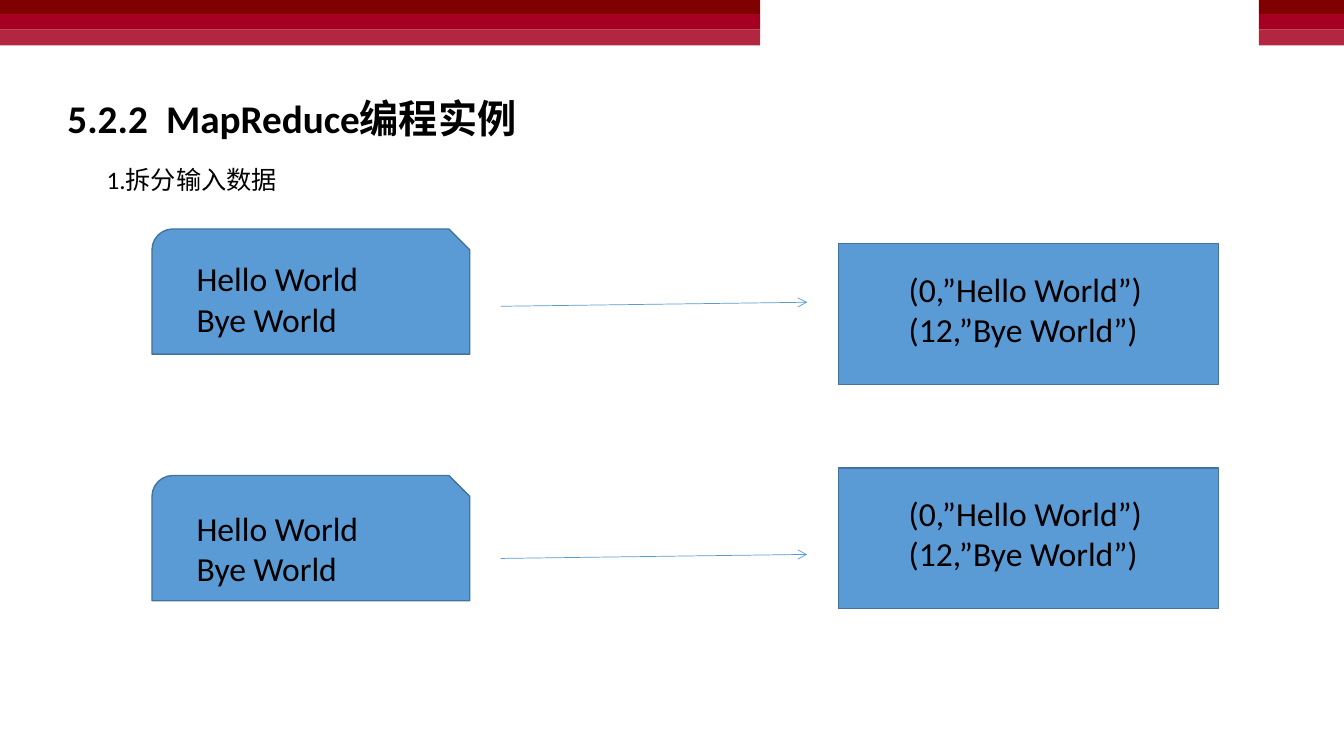
from lxml.etree import SubElement
from pptx import Presentation
from pptx.dml.color import RGBColor
from pptx.enum.shapes import MSO_CONNECTOR, MSO_SHAPE
from pptx.enum.text import MSO_ANCHOR, PP_ALIGN
from pptx.oxml.ns import qn
from pptx.util import Pt

SLIDE_WIDTH, SLIDE_HEIGHT = 960, 540
MAROON = RGBColor(0x80, 0x00, 0x00)
CRIMSON = RGBColor(0xA5, 0x00, 0x21)
ROSE = RGBColor(0xB2, 0x26, 0x42)
BLUE = RGBColor(0x5B, 0x9B, 0xD5)
DARK_BLUE = RGBColor(0x43, 0x73, 0x9E)
BLACK = RGBColor(0x00, 0x00, 0x00)

INPUT_LINES = "Hello World\nBye World"
PAIR_LINES = "(0,”Hello World”)\n(12,”Bye World”)"


def write_text(frame, text, size=24, bold=False, tab=None):
    """Fill a text frame with one left-aligned paragraph per line."""
    frame.word_wrap = True
    frame.vertical_anchor = MSO_ANCHOR.TOP
    frame.text = text
    for paragraph in frame.paragraphs:
        paragraph.alignment = PP_ALIGN.LEFT
        if tab:
            stops = SubElement(paragraph._p.get_or_add_pPr(), qn("a:tabLst"))
            SubElement(stops, qn("a:tab"), pos=str(Pt(tab)), algn="l")
        for run in paragraph.runs:
            run.font.name = "Calibri"
            run.font.size = Pt(size)
            run.font.bold = bold
            run.font.color.rgb = BLACK


def add_label(slide, text, left, top, width, height, **text_format):
    """Place a free text label."""
    label = slide.shapes.add_textbox(Pt(left), Pt(top), Pt(width), Pt(height))
    write_text(label.text_frame, text, **text_format)


def add_block(slide, outline, left, top, width, height, fill, border=None):
    """Place a filled shape, with a border if a colour is given."""
    block = slide.shapes.add_shape(outline, Pt(left), Pt(top), Pt(width), Pt(height))
    block.shadow.inherit = False
    block.fill.solid()
    block.fill.fore_color.rgb = fill
    if border:
        block.line.color.rgb = border
        block.line.width = Pt(1)
    else:
        block.line.fill.background()


def add_arrow(slide, left, top, right, bottom):
    """Draw a thin arrow from the first point to the second."""
    arrow = slide.shapes.add_connector(
        MSO_CONNECTOR.STRAIGHT, Pt(left), Pt(top), Pt(right), Pt(bottom))
    arrow.line.color.rgb = BLUE
    arrow.line.width = Pt(0.5)
    SubElement(arrow.line._get_or_add_ln(), qn("a:tailEnd"), type="arrow")
    SubElement(arrow._element.spPr, qn("a:effectLst"))


def add_header_bands(slide, left, width):
    """Stack the three red bands along the top edge."""
    top = 0
    for height, colour in ((10, MAROON), (11.2, CRIMSON), (11.3, ROSE)):
        add_block(slide, MSO_SHAPE.RECTANGLE, left, top, width, height, colour)
        top += height


def add_heading(slide, left, top):
    """Place the slide title and the step name below it."""
    title = slide.shapes.title
    title.left, title.top, title.width, title.height = (
        Pt(left), Pt(top), Pt(760), Pt(41))
    write_text(title.text_frame, "5.2.2\tMapReduce编程实例", size=28, bold=True, tab=70.4)
    add_label(slide, "1.拆分输入数据", left + 28.1, top + 49.7, 210, 29, size=18)


def add_input(slide, left, top, label_offset):
    """Draw an input split with its lines of text."""
    add_block(slide, MSO_SHAPE.SNIP_ROUND_RECTANGLE, left, top, 227, 89.4, BLUE, DARK_BLUE)
    add_label(slide, INPUT_LINES, left + 24.7, top + label_offset, 159, 65.4)


def add_pairs(slide, left, top):
    """Draw the key-value pairs made from an input split."""
    add_block(slide, MSO_SHAPE.RECTANGLE, left, top, 271.5, 100.6, BLUE, DARK_BLUE)
    add_label(slide, PAIR_LINES, left + 43.2, top + 14.2, 203, 65.4)


def add_split_row(slide, left, top, label_offset, arrow_offset, pairs_offset):
    """Link an input split to its key-value pairs."""
    add_input(slide, left, top, label_offset)
    arrow_top = top + arrow_offset
    add_arrow(slide, left + 249, arrow_top, left + 468, arrow_top - 2.9)
    add_pairs(slide, left + 490.2, top + pairs_offset)


def main():
    """Build and save the slide."""
    deck = Presentation()
    deck.slide_width, deck.slide_height = Pt(SLIDE_WIDTH), Pt(SLIDE_HEIGHT)
    slide = deck.slides.add_slide(deck.slide_layouts[5])
    add_header_bands(slide, 0, 543)
    add_header_bands(slide, 899.3, SLIDE_WIDTH - 899.3)
    add_heading(slide, 41, 64.1)
    add_split_row(slide, 108.6, 163.6, label_offset=17.2, arrow_offset=55.2, pairs_offset=10.4)
    add_split_row(slide, 108.6, 339.7, label_offset=19.6, arrow_offset=59.2, pairs_offset=-5.5)
    deck.save("out.pptx")


if __name__ == "__main__":
    main()
